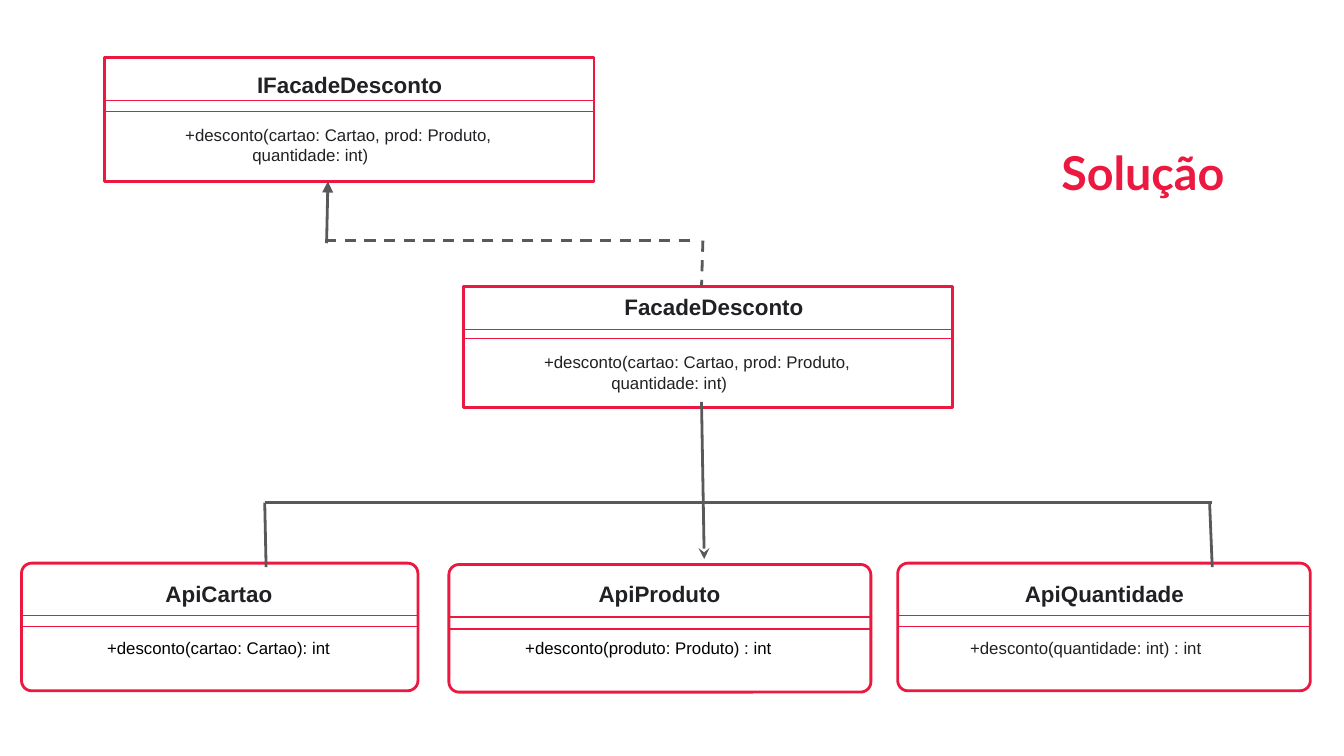
"""Build the class diagram slide of the discount facade solution."""
import pptx
import pptx.dml.color
import pptx.enum.dml
import pptx.enum.shapes
import pptx.enum.text
import pptx.oxml
import pptx.oxml.ns
import pptx.util

Inches = pptx.util.Inches
Pt = pptx.util.Pt
RGBColor = pptx.dml.color.RGBColor
Shape = pptx.enum.shapes.MSO_SHAPE
Align = pptx.enum.text.PP_ALIGN
Anchor = pptx.enum.text.MSO_ANCHOR

RED = RGBColor(0xEC, 0x18, 0x3F)
GREY = RGBColor(0x59, 0x59, 0x59)
INK = RGBColor(0x20, 0x21, 0x24)
CHARCOAL = RGBColor(0x21, 0x21, 0x21)
BLACK = RGBColor(0, 0, 0)

TITLE = "Solução"
FACADE_METHOD = ["+desconto(cartao: Cartao, prod: Produto,", "quantidade: int)"]
CLASSES = [
    dict(name="IFacadeDesconto", kind=Shape.RECTANGLE, frame=(0.78, 0.43, 3.64, 0.92),
         name_at=(1.11, 0.43), rules=(0.75, 0.83), method=FACADE_METHOD,
         method_box=(0.78, 0.83, 3.64, 0.5), align=Align.LEFT, ink=INK),
    dict(name="FacadeDesconto", kind=Shape.RECTANGLE, frame=(3.45, 2.13, 3.64, 0.9),
         name_at=(3.82, 2.08), rules=(2.45, 2.52), method=FACADE_METHOD,
         method_box=(3.45, 2.52, 3.64, 0.5), align=Align.LEFT, ink=INK),
    dict(name="ApiCartao", kind=Shape.ROUNDED_RECTANGLE, frame=(0.16, 4.19, 2.95, 0.95),
         name_at=(0.42, 4.22), rules=(4.58, 4.66), method=["+desconto(cartao: Cartao): int"],
         method_box=(0.09, 4.67, 3.07, 0.35), align=Align.CENTER, ink=BLACK),
    dict(name="ApiProduto", kind=Shape.ROUNDED_RECTANGLE, frame=(3.34, 4.2, 3.14, 0.95),
         name_at=(3.62, 4.22), rules=(4.59, 4.68), method=["+desconto(produto: Produto) : int"],
         method_box=(3.31, 4.67, 3.14, 0.35), align=Align.LEFT, ink=BLACK),
    dict(name="ApiQuantidade", kind=Shape.ROUNDED_RECTANGLE, frame=(6.68, 4.19, 3.07, 0.95),
         name_at=(6.96, 4.22), rules=(4.58, 4.66), method=["+desconto(quantidade: int) : int"],
         method_box=(6.62, 4.67, 3.14, 0.35), align=Align.LEFT, ink=CHARCOAL),
]
LINKS = [
    ((2.43, 1.81), (2.44, 1.35), False, "triangle"),
    ((2.42, 1.79), (5.18, 1.79), True, None),
    ((5.23, 1.79), (5.22, 2.13), True, None),
    ((1.97, 3.74), (9.02, 3.74), False, None),
    ((1.97, 3.74), (1.98, 4.22), False, None),
    ((5.22, 2.99), (5.24, 4.16), False, "stealth"),
    ((9, 3.74), (9.02, 4.22), False, None),
]
PAGE_WIDTH = 10
NAME_SHARE = 0.82
INDENT = 0.5


def add_line(page, start, end, color, width, dashed=False, arrow=None):
    """Draw a straight connector without shadow."""
    ends = [Inches(value) for value in (*start, *end)]
    link = page.shapes.add_connector(pptx.enum.shapes.MSO_CONNECTOR.STRAIGHT, *ends)
    link.line.color.rgb = color
    link.line.width = Pt(width)
    if dashed:
        link.line.dash_style = pptx.enum.dml.MSO_LINE.DASH
    if arrow:
        outline = link._element.spPr.find(pptx.oxml.ns.qn("a:ln"))
        outline.append(pptx.oxml.parse_xml(
            f'<a:tailEnd {pptx.oxml.ns.nsdecls("a")} type="{arrow}"/>'))
    link._element.spPr.append(pptx.oxml.parse_xml(
        f'<a:effectLst {pptx.oxml.ns.nsdecls("a")}/>'))


def write(box, lines, font, size, color, align, bold=False):
    """Fill a text frame with one paragraph per line."""
    frame = box.text_frame
    frame.word_wrap = True
    frame.margin_left = frame.margin_right = Inches(0.1)
    frame.margin_top = frame.margin_bottom = Inches(0.1)
    frame.text = "\n".join(lines)
    for para in frame.paragraphs:
        para.alignment = align
        for span in para.runs:
            span.font.name = font
            span.font.size = Pt(size)
            span.font.bold = bold
            span.font.color.rgb = color


def add_text(page, place, *style, **options):
    """Add a text box at a place given in inches."""
    box = page.shapes.add_textbox(*map(Inches, place))
    write(box, *style, **options)
    return box


def add_class(page, item):
    """Draw a class with its frame, two rules, name and method."""
    left, _, width, _ = item["frame"]
    frame = page.shapes.add_shape(item["kind"], *map(Inches, item["frame"]))
    frame.shadow.inherit = False
    frame.fill.background()
    frame.line.color.rgb = RED
    frame.line.width = Pt(1.5)
    if item["kind"] == Shape.ROUNDED_RECTANGLE:
        frame.adjustments[0] = 0.08
    for level in item["rules"]:
        add_line(page, (left, level), (left + width, level), RED, 0.75)
    add_text(page, (*item["name_at"], width * NAME_SHARE, 0.4), [item["name"]],
             "Arial", 12, INK, Align.CENTER, bold=True)
    method = add_text(page, item["method_box"], item["method"], "Arial", 9,
                      item["ink"], item["align"])
    if item["align"] == Align.LEFT:
        for index, para in enumerate(method.text_frame.paragraphs):
            properties = para._p.get_or_add_pPr()
            properties.set("marL", str(Inches(INDENT)))
            properties.set("indent", str(Inches(INDENT * index)))


def main():
    """Assemble and save the deck."""
    deck = pptx.Presentation()
    deck.slide_width, deck.slide_height = Inches(PAGE_WIDTH), Inches(PAGE_WIDTH * 9 / 16)
    page = deck.slides.add_slide(deck.slide_layouts[5])
    title = page.shapes.title
    title.left, title.top, title.width, title.height = map(Inches, (0.69, 0.96, 8.52, 0.63))
    write(title, [TITLE], "Lato", 25, RED, Align.RIGHT, bold=True)
    title.text_frame.vertical_anchor = Anchor.MIDDLE
    title.text_frame.auto_size = pptx.enum.text.MSO_AUTO_SIZE.NONE
    for item in CLASSES:
        add_class(page, item)
    for start, end, dashed, arrow in LINKS:
        add_line(page, start, end, GREY, 1.5, dashed, arrow)
    deck.save("out.pptx")


if __name__ == "__main__":
    main()
